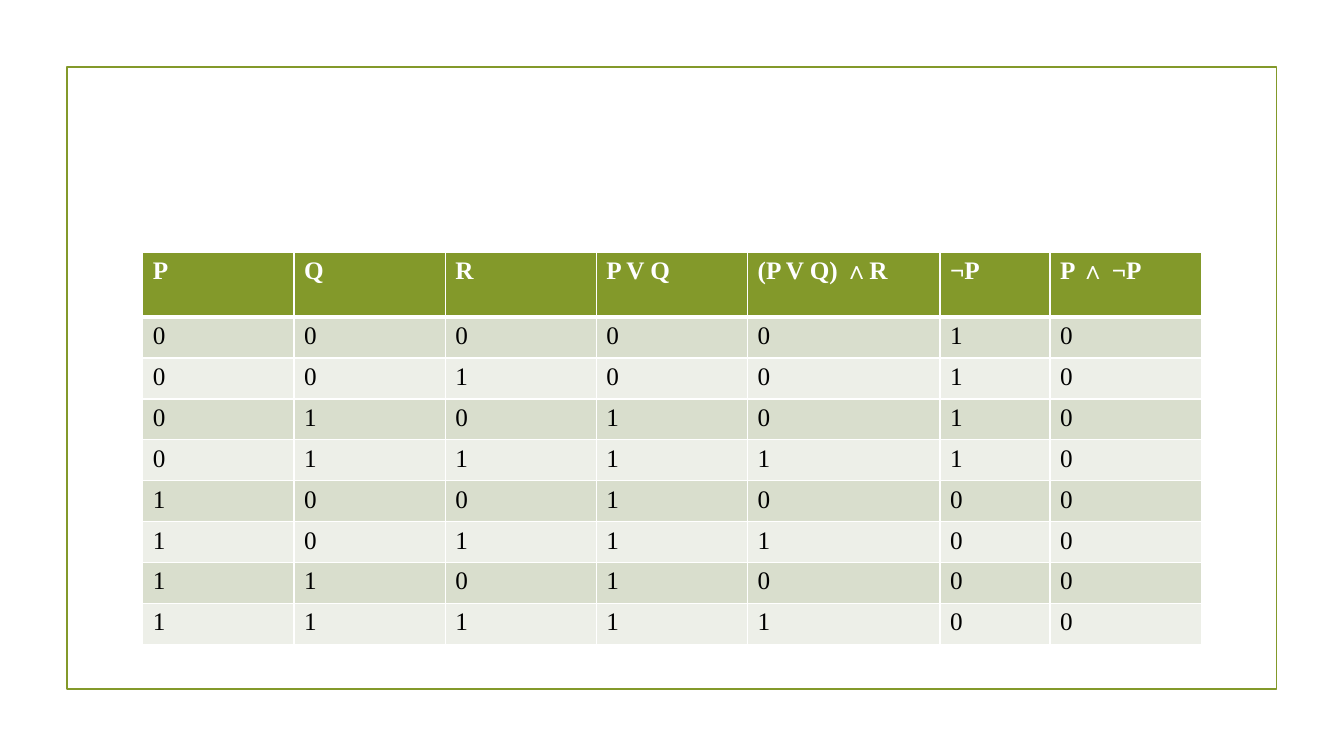
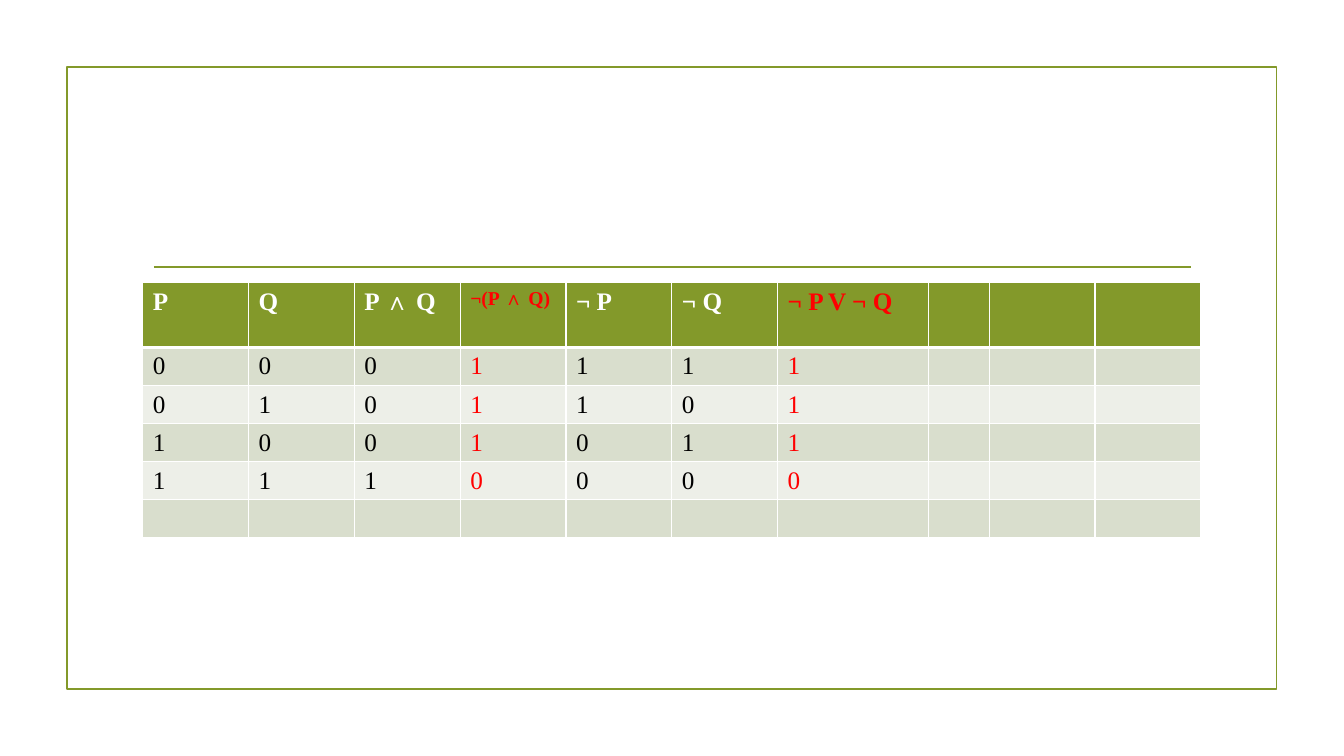
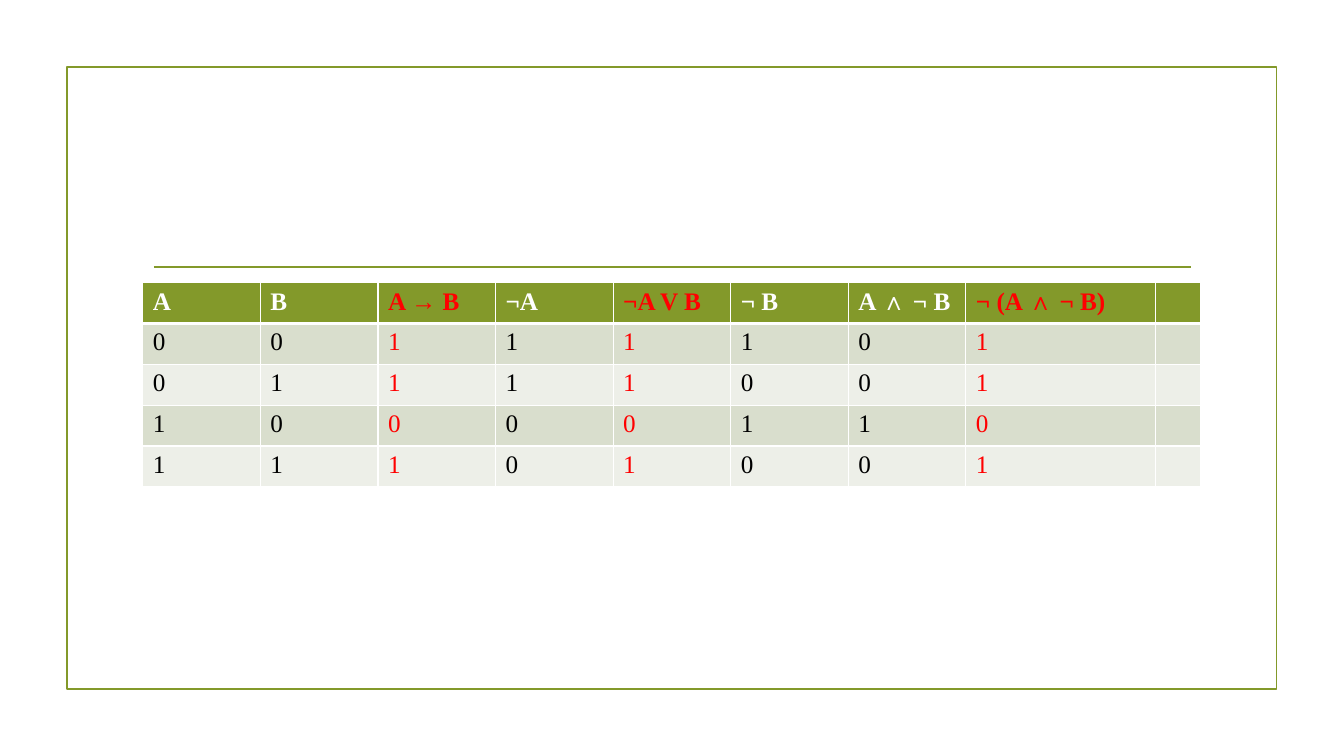
from lxml import etree
from pptx import Presentation
from pptx.dml.color import RGBColor
from pptx.enum.shapes import MSO_CONNECTOR, MSO_SHAPE
from pptx.oxml.ns import qn
from pptx.util import Pt

STRAIGHT = MSO_CONNECTOR.STRAIGHT
RECTANGLE = MSO_SHAPE.RECTANGLE

GREEN, WHITE, BLACK, RED = "83992A", "FFFFFF", "000000", "FF0000"
BANDS = ("D9DECD", "EDEFE8")
FONT = "Times New Roman"
TEXT_SIZE = 18
TABLE_LEFT, TABLE_WIDTH = 102, 756


def color(value):
    return RGBColor.from_string(value)


class TruthTableDeck:
    """Shared style and the slide being built."""

    def __init__(self):
        self.deck = Presentation()
        self.deck.slide_width, self.deck.slide_height = Pt(960), Pt(540)
        self.page = None

    def add_page(self):
        self.page = self.deck.slides.add_slide(self.deck.slide_layouts[6])
        frame = self.page.shapes.add_shape(RECTANGLE, Pt(47.8), Pt(48), Pt(864), Pt(444))
        frame.shadow.inherit = False
        frame.fill.background()
        self.style_line(frame.line)

    def style_line(self, line):
        line.color.rgb = color(GREEN)
        line.width = Pt(1.25)

    def add_rule(self):
        rule = self.page.shapes.add_connector(
            STRAIGHT, Pt(110), Pt(190.8), Pt(850.4), Pt(190.8))
        self.style_line(rule.line)
        etree.SubElement(rule._element.spPr, qn("a:effectLst"))

    def add_truth_table(self, top, widths, heights, headers, rows, red=(), sizes=None):
        """Each row is a string of truth values; missing values stay empty."""
        table = self.page.shapes.add_table(
            len(rows) + 1, len(widths), Pt(TABLE_LEFT), Pt(top),
            Pt(TABLE_WIDTH), Pt(sum(heights))).table
        table.first_row = table.horz_banding = False
        for column, width in zip(table.columns, widths):
            column.width = Pt(width)
        for r, (values, height) in enumerate(zip([headers, *rows], heights)):
            table.rows[r].height = Pt(height)
            plain = BLACK if r else WHITE
            for c in range(len(widths)):
                cell = table.cell(r, c)
                self.add_borders(cell, top=3 if r == 1 else 1, bottom=1 if r else 3)
                cell.fill.solid()
                cell.fill.fore_color.rgb = color(BANDS[(r - 1) % 2] if r else GREEN)
                size = TEXT_SIZE if r else (sizes or {}).get(c, TEXT_SIZE)
                text = values[c] if c < len(values) else ""
                self.set_text(cell, text, size, RED if c in red else plain, r == 0)

    def set_text(self, cell, text, size, ink, bold):
        para = cell.text_frame.paragraphs[0]
        if not text:
            # An empty cell keeps the line height of the table font
            end = etree.SubElement(para._p, qn("a:endParaRPr"), sz=str(size * 100))
            etree.SubElement(end, qn("a:latin"), typeface=FONT)
            return
        para.text = text
        font = para.runs[0].font
        font.name, font.size, font.bold = FONT, Pt(size), bold
        font.color.rgb = color(ink)

    def add_borders(self, cell, top, bottom):
        properties = cell._tc.get_or_add_tcPr()
        for side, width in (("L", 1), ("R", 1), ("T", top), ("B", bottom)):
            border = etree.SubElement(properties, qn(f"a:ln{side}"), w=str(Pt(width)))
            fill = etree.SubElement(border, qn("a:solidFill"))
            etree.SubElement(fill, qn("a:srgbClr"), val=WHITE)


def main():
    tables = TruthTableDeck()

    # Three variables
    tables.add_page()
    tables.add_truth_table(
        180.2, [108] * 4 + [137.5, 78.5, 108], [46.4] + [29.2] * 8,
        ["P", "Q", "R", "P V Q", "(P V Q) ∧R", "¬P", "P ∧ ¬P"],
        ["0000010", "0010010", "0101010", "0111110",
         "1001000", "1011100", "1101000", "1111100"])

    # De Morgan: the red columns agree
    tables.add_page()
    tables.add_rule()
    tables.add_truth_table(
        201.8, [75.6] * 6 + [108, 43.2] + [75.6] * 2, [46.4] + [27.1] * 5,
        ["P", "Q", "P ∧ Q", "¬(P ∧ Q)", "¬ P", "¬ Q", "¬ P V ¬ Q"],
        ["0001111", "0101101", "1001011", "1110000", ""],
        red=(3, 6), sizes={3: 14})

    # Implication: the red columns agree
    tables.add_page()
    tables.add_rule()
    tables.add_truth_table(
        201.8, [84] * 7 + [135.6, 32.4], [29.2] * 5,
        ["A", "B", "A → B", "¬A", "¬A V B", "¬ B", "A ∧ ¬ B", "¬ (A ∧ ¬ B)"],
        ["00111101", "01111001", "10000110", "11101001"],
        red=(2, 4, 7))

    tables.deck.save("out.pptx")


if __name__ == "__main__":
    main()
